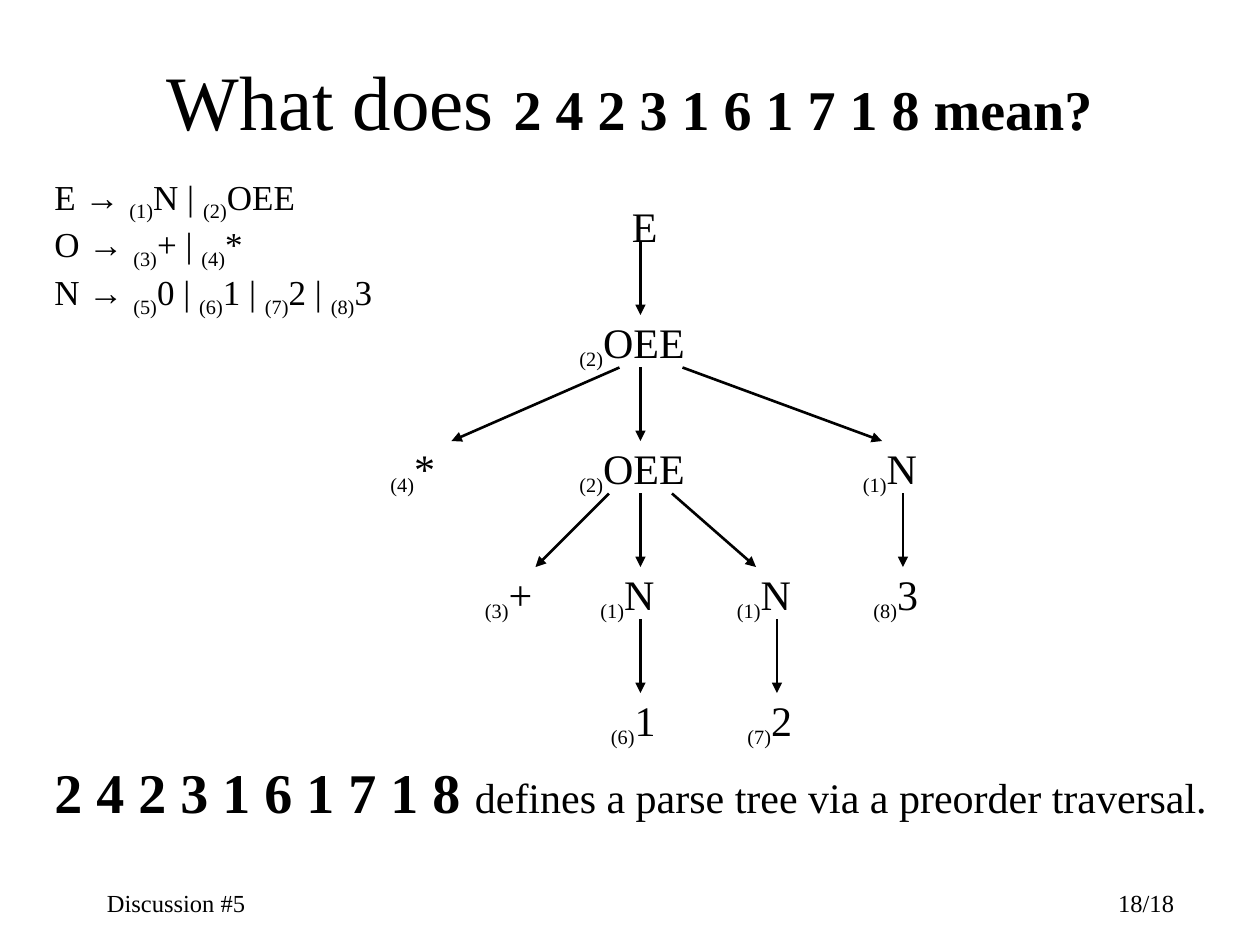
from dataclasses import dataclass

from lxml.etree import SubElement
from pptx import Presentation
from pptx.dml.color import RGBColor
from pptx.enum.shapes import MSO_CONNECTOR
from pptx.enum.text import MSO_ANCHOR, MSO_AUTO_SIZE, PP_ALIGN
from pptx.oxml.ns import qn
from pptx.util import Pt


@dataclass(frozen=True)
class Theme:
    ink: RGBColor = RGBColor(0, 0, 0)
    paper: RGBColor = RGBColor(255, 255, 255)
    font: str = "Times New Roman"
    arrow_font: str = "Arial"
    title: int = 44
    code: int = 32
    body: int = 24
    grammar: int = 20
    footer: int = 14
    line: float = 1.5


class SlideBuilder:
    def __init__(self, prs, theme):
        self.theme = theme
        self.s = prs.slides.add_slide(prs.slide_layouts[5])
        fill = self.s.background.fill
        fill.solid()
        fill.fore_color.rgb = theme.paper

    def run(self, p, text, size, bold=False, sub=False, font=None):
        r = p.add_run()
        r.text = text
        r.font.size = Pt(size)
        r.font.name = font or self.theme.font
        r.font.bold = bold
        r.font.color.rgb = self.theme.ink
        if sub:
            r._r.get_or_add_rPr().set("baseline", "-25000")

    def title(self, left, top, width, height):
        sp = self.s.shapes.title
        sp.left, sp.top, sp.width, sp.height = map(Pt, (left, top, width, height))
        tf = sp.text_frame
        tf.auto_size = MSO_AUTO_SIZE.NONE
        tf.vertical_anchor = MSO_ANCHOR.MIDDLE
        p = tf.paragraphs[0]
        p.alignment = PP_ALIGN.CENTER
        return p

    def text(self, left, top, width, height, inset=3.6,
             anchor=MSO_ANCHOR.TOP, align=PP_ALIGN.LEFT):
        """Add an empty text box and return its first paragraph."""
        sp = self.s.shapes.add_textbox(Pt(left), Pt(top), Pt(width), Pt(height))
        tf = sp.text_frame
        tf.word_wrap = True
        tf.margin_top = Pt(inset)
        tf.vertical_anchor = anchor
        p = tf.paragraphs[0]
        p.alignment = align
        return p

    def arrow(self, x1, y1, x2, y2):
        c = self.s.shapes.add_connector(
            MSO_CONNECTOR.STRAIGHT, Pt(x1), Pt(y1), Pt(x2), Pt(y2))
        c.line.color.rgb = self.theme.ink
        c.line.width = Pt(self.theme.line)
        SubElement(c.line._get_or_add_ln(), qn("a:tailEnd"), type="triangle")
        SubElement(c._element.spPr, qn("a:effectLst"))

    def node(self, rule, symbol, left, level, x1, x2):
        """Add a tree node and the arrow that leads down to it from x1 to x2."""
        top = LEVEL_TOP + LEVEL_STEP * level
        p = self.text(left, top, 84 if len(symbol) > 1 else 48, 39, NODE_INSET)
        self.run(p, f"({rule})", self.theme.grammar, sub=True)
        self.run(p, symbol, self.theme.body)
        self.arrow(x1, top - 36, x2, top + 6)

    def grammar(self, rules, left, top, width, height):
        size = self.theme.grammar
        p = self.text(left, top, width, height, anchor=MSO_ANCHOR.MIDDLE)
        for i, (head, choices) in enumerate(rules):
            if i:
                p.add_line_break()
            self.run(p, head + " ", size)
            self.run(p, "→ ", size, font=self.theme.arrow_font)
            for j, (number, symbol) in enumerate(choices, 1):
                self.run(p, f"({number})", size, sub=True)
                self.run(p, symbol + (" | " if j < len(choices) else ""), size)


LEVEL_TOP, LEVEL_STEP, NODE_INSET = 174, 72, 6.6
CODE = "2 4 2 3 1 6 1 7 1 8 "

GRAMMAR = [
    ("E", [(1, "N"), (2, "OEE")]),
    ("O", [(3, "+"), (4, "*")]),
    ("N", [(5, "0"), (6, "1"), (7, "2"), (8, "3")]),
]

# rule, symbol, left, level, arrow start x, arrow end x
NODES = [
    (2, "OEE", 324, 0, 366, 366),
    (4, "*", 216, 1, 354, 258),
    (2, "OEE", 324, 1, 366, 366),
    (1, "N", 486, 1, 390, 504),
    (3, "+", 270, 2, 348, 306),
    (1, "N", 336, 2, 366, 366),
    (1, "N", 414, 2, 384, 432),
    (8, "3", 492, 2, 516, 516),
    (6, "1", 342, 3, 366, 366),
    (7, "2", 420, 3, 444, 444),
]


def main():
    prs = Presentation()
    prs.slide_width, prs.slide_height = Pt(720), Pt(540)
    theme = Theme()
    b = SlideBuilder(prs, theme)

    p = b.title(54, 12, 612, 90)
    b.run(p, "What does ", theme.title)
    b.run(p, CODE + "mean?", theme.code, bold=True)

    for text, left, align in (("Discussion #5", 54, PP_ALIGN.LEFT),
                              ("18/18", 528, PP_ALIGN.RIGHT)):
        b.run(b.text(left, 504, 150, 24, align=align), text, theme.footer)

    b.grammar(GRAMMAR, 24, 72, 234, 138)

    b.run(b.text(354, 108, 42, 36, NODE_INSET), "E", theme.body)
    for node in NODES:
        b.node(*node)

    p = b.text(24, 426, 678, 46, NODE_INSET)
    b.run(p, CODE, theme.code, bold=True)
    b.run(p, "defines a parse tree via a preorder traversal.", theme.body)

    prs.save("out.pptx")


if __name__ == "__main__":
    main()
